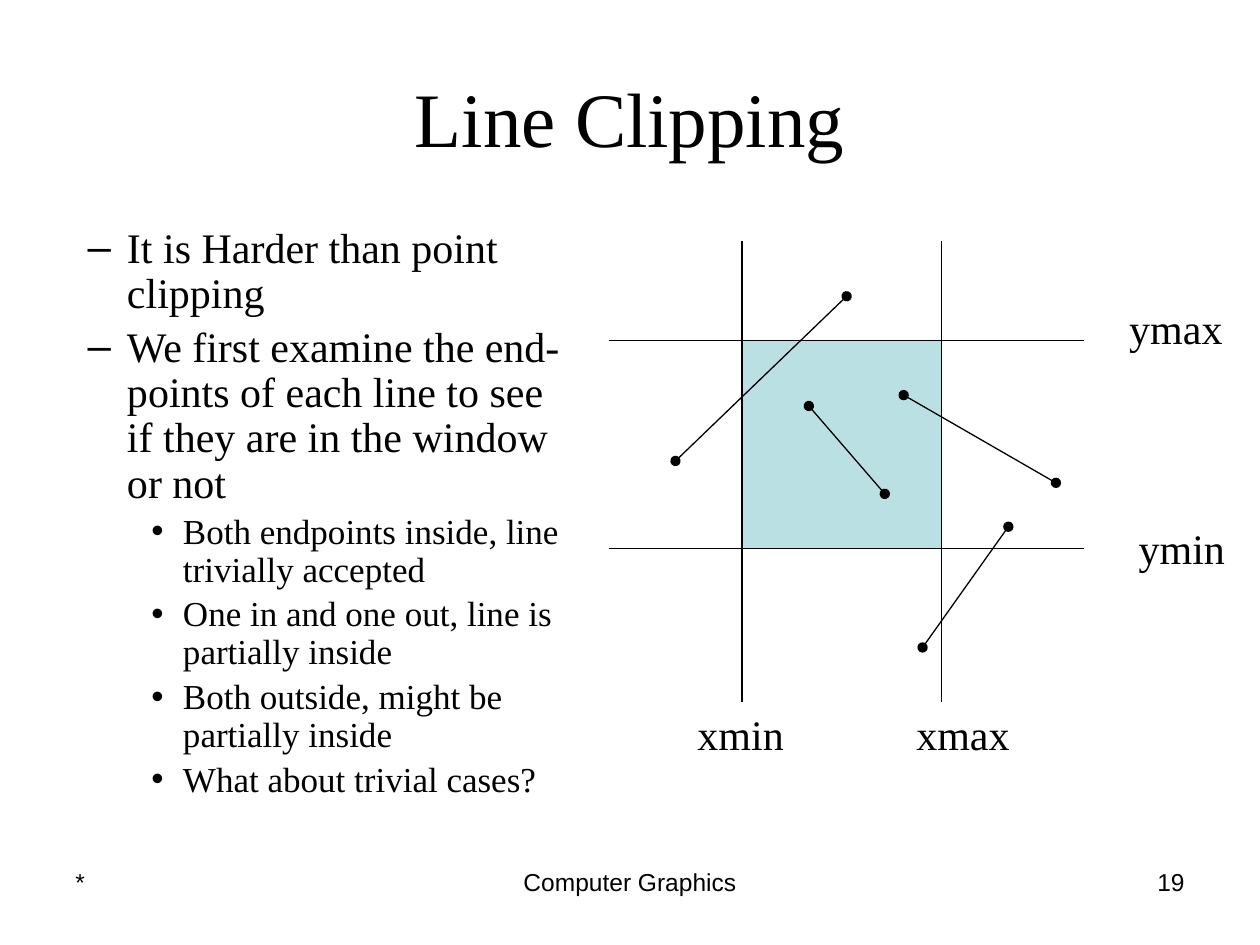
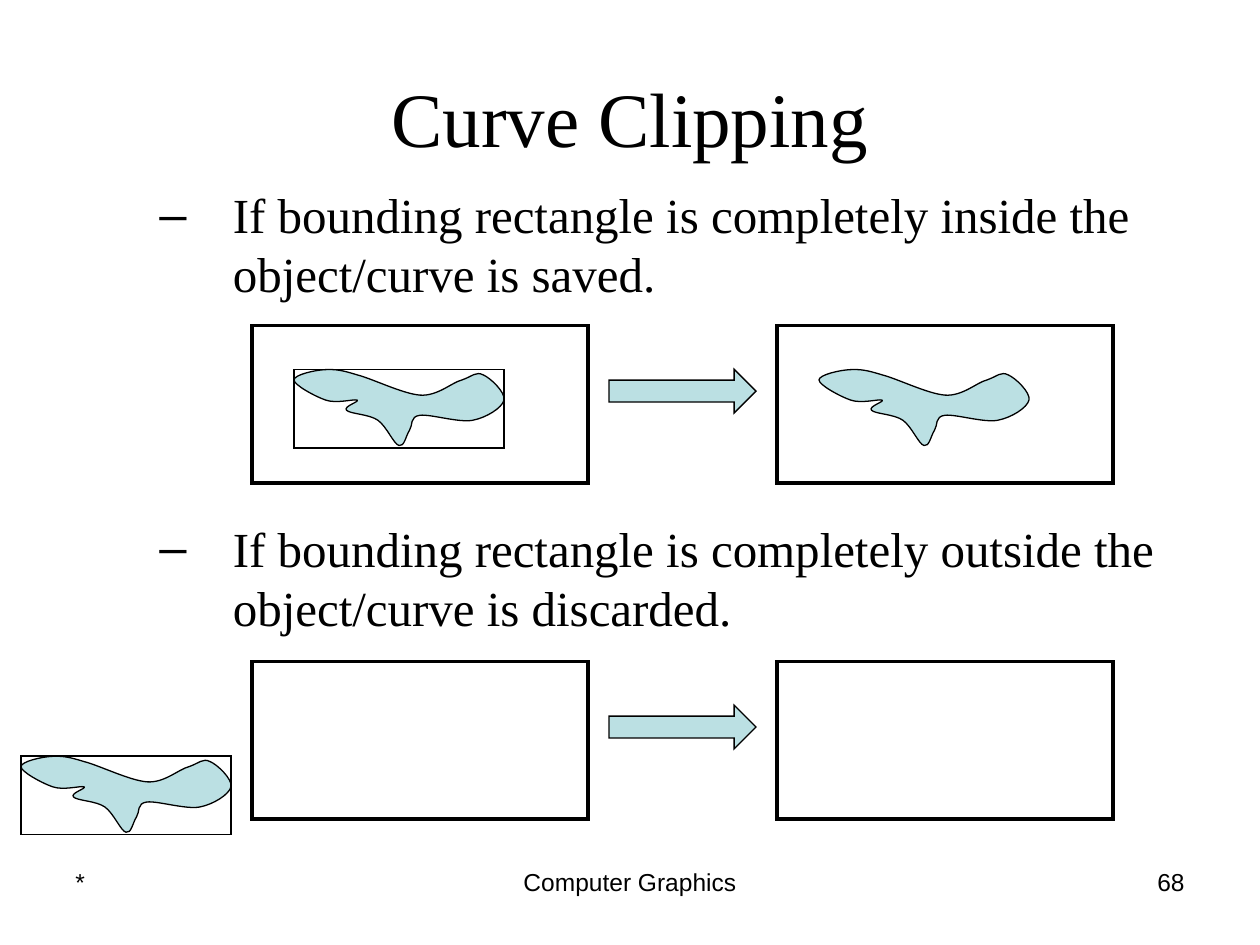
"""Build two slides on line clipping and curve clipping."""
from dataclasses import dataclass

from lxml.etree import SubElement
from pptx import Presentation
from pptx.dml.color import RGBColor
from pptx.enum.shapes import MSO_CONNECTOR, MSO_SHAPE
from pptx.enum.text import MSO_ANCHOR, MSO_AUTO_SIZE, PP_ALIGN
from pptx.oxml.ns import qn
from pptx.util import Pt


@dataclass(frozen=True)
class Theme:
    ink: RGBColor = RGBColor(0x00, 0x00, 0x00)
    aqua: RGBColor = RGBColor(0xBB, 0xE0, 0xE3)
    serif: str = "Times New Roman"
    sans: str = "Arial"
    title: int = 44
    large: int = 28
    body: int = 24
    sub: int = 20
    footer: int = 14
    thin: float = 0.75
    thick: float = 2.25


T = Theme()

FOOTER = "Computer Graphics"
FOOTER_TOP, FOOTER_HEIGHT = 492, 37.5

LINE_TITLE, LINE_NUMBER = "Line Clipping", "19"
LINE_BODY = (0, 126, 330, 356.5)
LINE_POINTS = [
    (1, "It is Harder than point clipping"),
    (1, "We first examine the end-points of each line to see if they are in the window or not"),
    (2, "Both endpoints inside, line trivially accepted"),
    (2, "One in and one out, line is partially inside"),
    (2, "Both outside, might be partially inside"),
    (2, "What about trivial cases?"),
]
LINE_LEVELS = {
    1: dict(bullet="–", size=T.body, left=65.5, hang=22.5, before=4.8, spacing=0.9),
    2: dict(bullet="•", size=T.sub, left=97.5, hang=18, before=4, spacing=0.9),
}
X_MIN, X_MAX, Y_MAX, Y_MIN = 424, 538, 194.5, 313.3
GRID_LEFT, GRID_RIGHT, GRID_TOP, GRID_BOTTOM = 348, 619.6, 138, 401
LABEL_TOP = 401.4
AXIS_LABELS = [
    ("ymin", 643.6, 294.8, 64), ("ymax", 638.2, 169.4, 68),
    ("xmin", 391.5, LABEL_TOP, 64), ("xmax", 516.5, LABEL_TOP, 68),
]
SEGMENTS = [
    (462.2, 232, 505.6, 282.2), (483.8, 169.3, 386, 263.4),
    (603.4, 275.9, 516.4, 225.8), (576.2, 301, 527.2, 370),
]

CURVE_TITLE, CURVE_NUMBER = "Curve Clipping", "68"
CURVE_BODY = (48, 102, 672, 356.5)
CURVE_POINTS = [
    (1, "If bounding rectangle is completely inside the object/curve is saved."),
    (1, "If bounding rectangle is completely outside the object/curve is discarded."),
]
CURVE_LEVELS = {
    1: dict(bullet="–", size=T.large, left=78, hang=42, before=123.5, spacing=1.0),
}
FRAME_LEFTS, FRAME_TOPS = (144, 444), (186, 378)
FRAME_SIZE, BOUNDS_SIZE, ARROW_SIZE = (192, 90), (120, 45), (84, 25)
ARROW_LEFT, INSET_X, INSET_Y = 348, 24, 25
OUTSIDE = (12, 432)
CURVE_SIZE = (121, 44.6)
CURVE_START = (36, 3.2)
CURVE = [
    ((45, 5.5), (62, 14), (72, 14.8)),
    ((82, 15.5), (90, 7.6), (96, 6.1)),
    ((102, 4), (104, 1.1), (108, 3.2)),
    ((112, 4.7), (121, 13.3), (120, 17.6)),
    ((119, 22), (110, 27.7), (102, 29.2)),
    ((94, 30.6), (78, 25.6), (72, 26.3)),
    ((66, 27), (68, 32), (66, 34.9)),
    ((64, 37.8), (63, 44.6), (60, 43.6)),
    ((57, 42.8), (53, 32.8), (48, 29.2)),
    ((43, 25.6), (32, 25.6), (30, 23.4)),
    ((28, 21.2), (38, 18.4), (36, 17.6)),
    ((34, 17), (24, 19.8), (18, 17.6)),
    ((12, 15.5), (0, 9), (0, 6.1)),
    ((0, 3.2), (12, 0.4), (18, 0.2)),
    ((24, 0), (27, 0.4), CURVE_START),
]


def style(p, size, face=T.serif):
    for r in p.runs:
        r.font.size, r.font.name = Pt(size), face
        r.font.color.rgb = T.ink


def add_text(s, text, box, size, face=T.serif, align=PP_ALIGN.LEFT, wrap=True):
    tf = s.shapes.add_textbox(*map(Pt, box)).text_frame
    tf.word_wrap = wrap
    tf.text = text
    tf.paragraphs[0].alignment = align
    style(tf.paragraphs[0], size, face)


def add_points(s, points, levels, box):
    tf = s.shapes.add_textbox(*map(Pt, box)).text_frame
    tf.word_wrap = True
    for i, (level, text) in enumerate(points):
        look = levels[level]
        p = tf.add_paragraph() if i else tf.paragraphs[0]
        p.text = text
        p.level = level
        p.line_spacing = look["spacing"]
        p.space_before = Pt(look["before"] if i else 0)
        pPr = p._p.get_or_add_pPr()
        pPr.set("marL", str(Pt(look["left"])))
        pPr.set("indent", str(-Pt(look["hang"])))
        SubElement(pPr, qn("a:buFont")).set("typeface", T.sans)
        SubElement(pPr, qn("a:buChar")).set("char", look["bullet"])
        style(p, look["size"])


def paint(sp, fill=None, width=T.thin):
    sp.shadow.inherit = False
    if fill is None:
        sp.fill.background()
    else:
        sp.fill.solid()
        sp.fill.fore_color.rgb = fill
    sp.line.color.rgb, sp.line.width = T.ink, Pt(width)


def add_preset(s, kind, at, size, fill=None, width=T.thin):
    sp = s.shapes.add_shape(kind, *map(Pt, (*at, *size)))
    paint(sp, fill, width)
    SubElement(sp.line._get_or_add_ln(), qn("a:miter")).set("lim", "800000")


def add_line(s, ends, dots=False):
    c = s.shapes.add_connector(MSO_CONNECTOR.STRAIGHT, *map(Pt, ends))
    c.line.color.rgb, c.line.width = T.ink, Pt(T.thin)
    if dots:
        for tag in ("a:headEnd", "a:tailEnd"):
            SubElement(c.line._get_or_add_ln(), qn(tag)).set("type", "oval")
    SubElement(c._element.spPr, qn("a:effectLst"))


def bend(sp):
    """Replace the straight outline of a freeform by the Bézier segments."""
    outline = next(sp._element.iter(qn("a:path")))
    outline.clear()
    for name, length in zip("wh", CURVE_SIZE):
        outline.set(name, str(Pt(length)))
    steps = [("a:moveTo", [CURVE_START])] + [("a:cubicBezTo", points) for points in CURVE]
    for tag, points in steps:
        step = SubElement(outline, qn(tag))
        for x, y in points:
            pt = SubElement(step, qn("a:pt"))
            pt.set("x", str(Pt(x)))
            pt.set("y", str(Pt(y)))
    SubElement(outline, qn("a:close"))


def add_curve(s, at, bounded=True):
    builder = s.shapes.build_freeform(*map(Pt, CURVE_START))
    builder.add_line_segments([tuple(map(Pt, end)) for _, _, end in CURVE])
    sp = builder.convert_to_shape()
    sp.left, sp.top, sp.width, sp.height = map(Pt, (*at, *CURVE_SIZE))
    bend(sp)
    paint(sp, T.aqua)
    if bounded:
        add_preset(s, MSO_SHAPE.RECTANGLE, at, BOUNDS_SIZE)


def add_slide(prs, title, number):
    s = prs.slides.add_slide(prs.slide_layouts[5])
    sp = s.shapes.title
    sp.left, sp.top, sp.width, sp.height = map(Pt, (36, 21.5, 648, 90))
    tf = sp.text_frame
    tf.text = title
    tf.auto_size, tf.vertical_anchor = MSO_AUTO_SIZE.NONE, MSO_ANCHOR.MIDDLE
    tf.paragraphs[0].alignment = PP_ALIGN.CENTER
    style(tf.paragraphs[0], T.title)
    for text, left, width, align in (("*", 36, 168, PP_ALIGN.LEFT),
                                     (FOOTER, 246, 228, PP_ALIGN.CENTER),
                                     (number, 516, 168, PP_ALIGN.RIGHT)):
        add_text(s, text, (left, FOOTER_TOP, width, FOOTER_HEIGHT), T.footer, T.sans, align)
    return s


def build_line_clipping(prs):
    s = add_slide(prs, LINE_TITLE, LINE_NUMBER)
    add_points(s, LINE_POINTS, LINE_LEVELS, LINE_BODY)
    for y in (Y_MAX, Y_MIN):
        add_line(s, (GRID_LEFT, y, GRID_RIGHT, y))
    for x in (X_MIN, X_MAX):
        add_line(s, (x, GRID_TOP, x, GRID_BOTTOM))
    add_preset(s, MSO_SHAPE.RECTANGLE, (X_MIN, Y_MAX), (X_MAX - X_MIN, Y_MIN - Y_MAX), T.aqua)
    for text, left, top, width in AXIS_LABELS:
        add_text(s, text, (left, top, width, 36), T.body, wrap=False)
    for ends in SEGMENTS:
        add_line(s, ends, dots=True)


def build_curve_clipping(prs):
    s = add_slide(prs, CURVE_TITLE, CURVE_NUMBER)
    add_points(s, CURVE_POINTS, CURVE_LEVELS, CURVE_BODY)
    for top in FRAME_TOPS:
        for left in FRAME_LEFTS:
            add_preset(s, MSO_SHAPE.RECTANGLE, (left, top), FRAME_SIZE, width=T.thick)
        add_preset(s, MSO_SHAPE.RIGHT_ARROW, (ARROW_LEFT, top + INSET_Y), ARROW_SIZE, T.aqua)
    before, after = [(left + INSET_X, FRAME_TOPS[0] + INSET_Y) for left in FRAME_LEFTS]
    add_curve(s, before)
    add_curve(s, after, bounded=False)
    add_curve(s, OUTSIDE)


def main():
    prs = Presentation()
    prs.slide_width, prs.slide_height = Pt(720), Pt(540)
    build_line_clipping(prs)
    build_curve_clipping(prs)
    prs.save("out.pptx")


if __name__ == "__main__":
    main()
